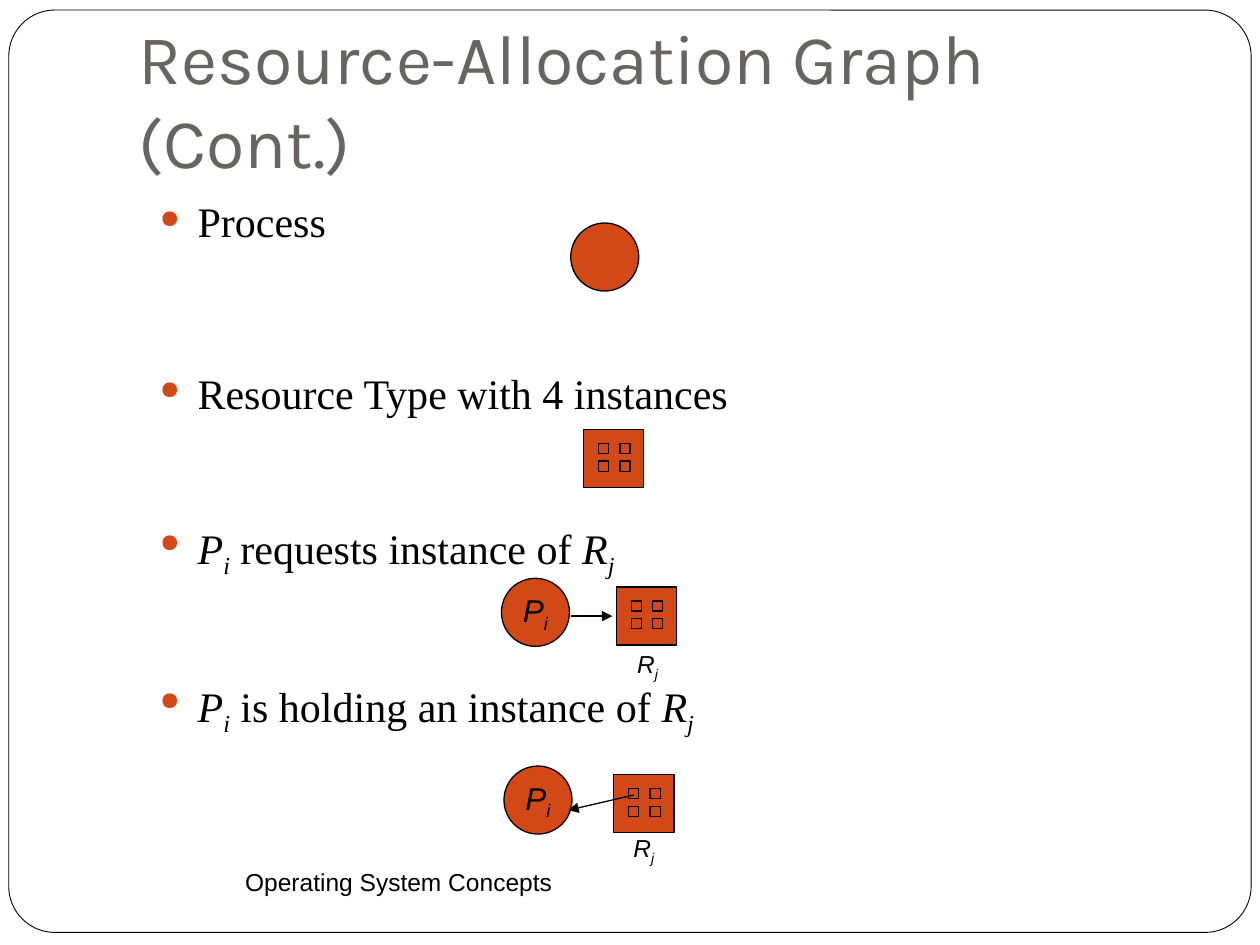
from dataclasses import dataclass
from itertools import product

from lxml.etree import SubElement
from pptx import Presentation
from pptx.dml.color import RGBColor
from pptx.enum.shapes import MSO_CONNECTOR, MSO_SHAPE
from pptx.enum.text import MSO_ANCHOR, MSO_AUTO_SIZE, PP_ALIGN
from pptx.oxml.ns import qn
from pptx.util import Inches, Pt


@dataclass(frozen=True)
class Theme:
    accent: RGBColor = RGBColor(0xD3, 0x48, 0x17)
    heading: RGBColor = RGBColor(0x69, 0x64, 0x64)
    ink: RGBColor = RGBColor(0, 0, 0)
    paper: RGBColor = RGBColor(255, 255, 255)
    title_size: int = 40
    body_size: int = 24
    node_size: int = 18
    label_size: int = 14
    title_font: str = "Karla"
    body_font: str = "Times New Roman"
    label_font: str = "Arial"
    line: float = 0.75
    frame_line: float = 0.5


T = Theme()
NODE = 0.54
PI = [("P", "i"), ("i", "is")]
RJ = [("R", "i"), ("j", "is")]
BULLETS = [
    ([("Process", "")], 0),
    ([("Resource Type with 4 instances", "")], 75),
    ([*PI, (" requests instance of ", ""), *RJ], 63),
    ([*PI, (" is holding an instance of ", ""), *RJ], 64),
]


def apply(target, values):
    for name, value in values.items():
        setattr(target, name, value)


def box(x, y, w, h):
    return [Inches(v) for v in (x, y, w, h)]


def add_runs(p, runs, size, font, color=T.ink):
    for text, style in runs:
        r = p.add_run()
        r.text = text
        apply(r.font, {"size": Pt(size), "name": font, "italic": "i" in style})
        r.font.color.rgb = color
        if "s" in style:
            r.font._element.set("baseline", "-25000")


def add_shape(shapes, kind, x, y, w, h, fill=T.accent, width=T.line):
    sp = shapes.add_shape(kind, *box(x, y, w, h))
    sp.shadow.inherit = False
    sp.fill.solid()
    sp.fill.fore_color.rgb = fill
    sp.line.color.rgb = T.ink
    sp.line.width = Pt(width)
    return sp


def center_text(sp, runs, size):
    tf = sp.text_frame
    apply(tf, {"word_wrap": False, "vertical_anchor": MSO_ANCHOR.MIDDLE})
    p = tf.paragraphs[0]
    p.alignment = PP_ALIGN.CENTER
    add_runs(p, runs, size, T.label_font)
    return tf


def add_label(s, runs, x, y, w, h, **frame):
    sp = s.shapes.add_textbox(*box(x, y, w, h))
    apply(center_text(sp, runs, T.label_size), frame)


def add_resource_label(s, x, y):
    add_label(s, RJ, x, y, 0.36, 0.37, margin_left=0, margin_right=0,
              auto_size=MSO_AUTO_SIZE.SHAPE_TO_FIT_TEXT)


def add_process(s, x, y, runs=()):
    sp = add_shape(s.shapes, MSO_SHAPE.OVAL, x, y, NODE, NODE)
    if runs:
        center_text(sp, runs, T.node_size)


def add_resource(s, x, y):
    shapes = s.shapes.add_group_shape().shapes
    add_shape(shapes, MSO_SHAPE.RECTANGLE, x, y, 0.48, 0.46)
    for row, col in product(range(2), repeat=2):
        add_shape(shapes, MSO_SHAPE.RECTANGLE,
                  x + 0.12 + 0.17 * col, y + 0.11 + 0.14 * row, 0.08, 0.08)


def add_arrow(s, *ends):
    c = s.shapes.add_connector(MSO_CONNECTOR.STRAIGHT, *box(*ends))
    c.line.color.rgb = T.ink
    c.line.width = Pt(T.line)
    SubElement(c.line._get_or_add_ln(), qn("a:tailEnd"), type="triangle")
    SubElement(c.element.spPr, qn("a:effectLst"))


def add_title(s, text):
    frame = add_shape(s.shapes, MSO_SHAPE.ROUNDED_RECTANGLE,
                      0.07, 0.08, 9.86, 7.32, T.paper, T.frame_line)
    frame.adjustments[0] = 0.05
    title = s.shapes.title
    frame.element.addnext(title.element)
    apply(title, dict(zip(("left", "top", "width", "height"), box(1, 0.3, 8.5, 1.25))))
    tf = title.text_frame
    apply(tf, {"vertical_anchor": MSO_ANCHOR.BOTTOM, "margin_bottom": Inches(0.1),
               "auto_size": MSO_AUTO_SIZE.NONE, "word_wrap": True})
    p = tf.paragraphs[0]
    p.alignment = PP_ALIGN.LEFT
    add_runs(p, [(text, "")], T.title_size, T.title_font, T.heading)


def add_bullet(p):
    pPr = p._p.get_or_add_pPr()
    pPr.set("marL", str(Inches(0.3)))
    pPr.set("indent", str(-Inches(0.3)))
    color = SubElement(pPr, qn("a:buClr"))
    SubElement(color, qn("a:srgbClr"), val=str(T.accent))
    SubElement(pPr, qn("a:buSzPct"), val="60000")
    SubElement(pPr, qn("a:buChar"), char="●")


def add_bullets(s, bullets):
    tf = s.shapes.add_textbox(*box(1.17, 1.58, 7.69, 4.5)).text_frame
    tf.word_wrap = True
    for n, (runs, gap) in enumerate(bullets):
        p = tf.add_paragraph() if n else tf.paragraphs[0]
        add_bullet(p)
        apply(p, {"line_spacing": 0.8, "space_before": Pt(gap)})
        add_runs(p, runs, T.body_size, T.body_font)


def main():
    prs = Presentation()
    apply(prs, {"slide_width": Inches(10), "slide_height": Inches(7.5)})
    s = prs.slides.add_slide(prs.slide_layouts[5])
    add_title(s, "Resource-Allocation Graph (Cont.)")
    add_label(s, [("Operating System Concepts", "")], 1, 6.75, 4.33, 0.5, word_wrap=True)
    add_bullets(s, BULLETS)

    add_process(s, 4.53, 1.77)
    add_resource(s, 4.63, 3.41)

    add_process(s, 3.98, 4.59, PI)
    add_resource(s, 4.89, 4.66)
    add_arrow(s, 4.53, 4.89, 4.86, 4.89)
    add_resource_label(s, 4.96, 5.1)

    add_process(s, 4, 6.08, PI)
    add_resource(s, 4.87, 6.15)
    add_arrow(s, 5.03, 6.31, 4.51, 6.43)
    add_resource_label(s, 4.93, 6.56)
    prs.save("out.pptx")


if __name__ == "__main__":
    main()
